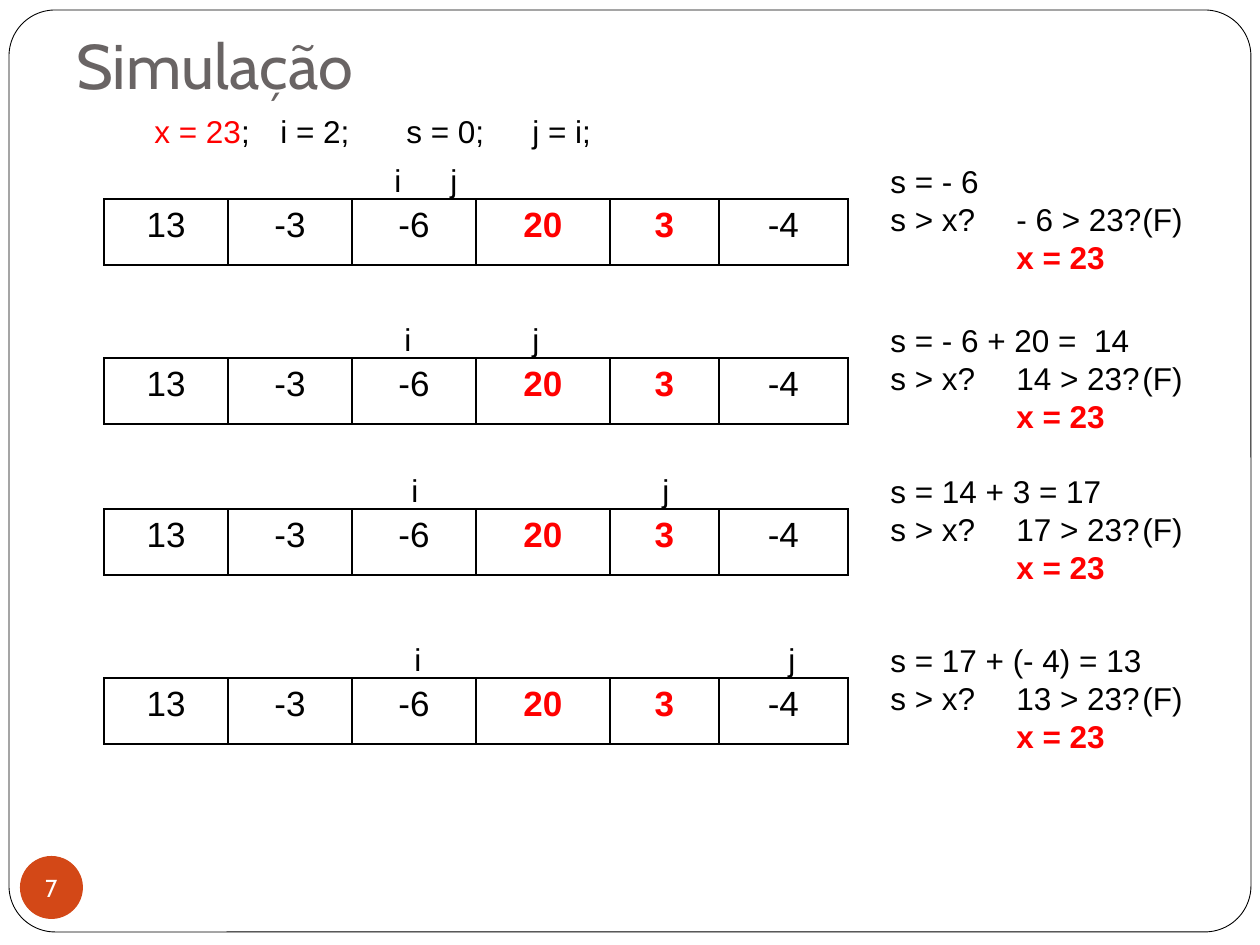
from lxml import etree
from pptx import Presentation
from pptx import util as u
from pptx.dml.color import RGBColor
from pptx.enum import shapes, text
from pptx.oxml.ns import qn

PX = 914400 / 126
BLACK, RED, WHITE, GREY, ORANGE = "000000", "FF0000", "FFFFFF", "696464", "D34817"
TAB_STEP = 126

TABLE_LEFT, ROW_HEIGHT = 104, 66
COLUMN_WIDTHS = [124, 124, 124, 134, 109, 129]
VALUES = ["13", "-3", "-6", "20", "3", "-4"]
HIGHLIGHTED = {"20", "3"}
# table top, left of i, left of j, sum shown, left side of the comparison
STEPS = [
    (199, 382, 438, "s = - 6", "- 6"),
    (358, 392, 520, "s = - 6 + 20 =  14", "14"),
    (509, 399, 650, "s = 14 + 3 = 17", "17"),
    (678, 402, 776, "s = 17 + (- 4) = 13", "13"),
]


def px(length):
    return u.Emu(round(length * PX))


def rgb(value):
    return RGBColor.from_string(value)


def style(font, size, color, name="Arial", bold=False):
    font.size, font.name, font.bold = u.Pt(size), name, bold
    font.color.rgb = rgb(color)


def add_tabs(paragraph, count=4):
    stops = etree.SubElement(paragraph._p.get_or_add_pPr(), qn("a:tabLst"))
    for number in range(1, count + 1):
        etree.SubElement(stops, qn("a:tab"), pos=str(px(number * TAB_STEP)), algn="l")


def add_text(parent, box, lines, size=18, color=BLACK, name="Arial"):
    """Each line is a list of (wording, is_red) runs; red alone on a line is bold."""
    frame = parent.add_textbox(*map(px, box)).text_frame
    frame.word_wrap = True
    for index, runs in enumerate(lines):
        paragraph = frame.add_paragraph() if index else frame.paragraphs[0]
        if any("\t" in wording for wording, _ in runs):
            add_tabs(paragraph)
        style(paragraph.font, size, color, name)
        for wording, is_red in runs:
            run = paragraph.add_run()
            run.text = wording
            if is_red:
                run.font.color.rgb = rgb(RED)
                run.font.bold = runs[-1][1]
    return frame


def add_panel(slide, kind, box, fill):
    panel = slide.shapes.add_shape(kind, *map(px, box))
    panel.shadow.inherit = False
    panel.fill.solid()
    panel.fill.fore_color.rgb = rgb(fill)
    panel.line.fill.background()
    return panel


def add_frame(slide):
    frame = add_panel(slide, shapes.MSO_SHAPE.ROUNDED_RECTANGLE, (9, 10, 1242, 922), WHITE)
    frame.adjustments[0] = 0.05
    frame.line.color.rgb = rgb(BLACK)
    frame.line.width = u.Pt(0.5)


def add_page_number(slide, number):
    badge = add_panel(slide, shapes.MSO_SHAPE.OVAL, (20, 856, 63, 63), ORANGE)
    frame = badge.text_frame
    frame.margin_left = frame.margin_right = frame.margin_top = frame.margin_bottom = 0
    frame.word_wrap = False
    frame.vertical_anchor = text.MSO_ANCHOR.MIDDLE
    paragraph = frame.paragraphs[0]
    paragraph.text = number
    paragraph.alignment = text.PP_ALIGN.CENTER
    style(paragraph.font, 14, WHITE, "Cabin")


def add_borders(cell):
    properties = cell._tc.get_or_add_tcPr()
    for index, side in enumerate(("lnL", "lnR", "lnT", "lnB")):
        line = etree.Element(qn(f"a:{side}"), w=str(u.Pt(1)))
        fill = etree.SubElement(line, qn("a:solidFill"))
        etree.SubElement(fill, qn("a:srgbClr"), val=BLACK)
        properties.insert(index, line)


def add_array(slide, top):
    box = (TABLE_LEFT, top, sum(COLUMN_WIDTHS), ROW_HEIGHT)
    table = slide.shapes.add_table(1, len(VALUES), *map(px, box)).table
    table.first_row = table.horz_banding = False
    for index, (value, width) in enumerate(zip(VALUES, COLUMN_WIDTHS)):
        table.columns[index].width = px(width)
        cell = table.cell(0, index)
        cell.fill.background()
        add_borders(cell)
        paragraph = cell.text_frame.paragraphs[0]
        paragraph.text = value
        paragraph.alignment = text.PP_ALIGN.CENTER
        marked = value in HIGHLIGHTED
        style(paragraph.font, 20, RED if marked else BLACK, bold=marked)


def add_step(slide, top, i_left, j_left, total, compared):
    add_array(slide, top)
    labels = slide.shapes.add_group_shape().shapes
    for pointer, left in (("i", i_left), ("j", j_left)):
        add_text(labels, (left, top - 44, 33, 50), [[(pointer, False)]])
    add_text(labels, (878, top - 43, 338, 127), [
        [(total, False)],
        [(f"s > x? \t{compared} > 23?\t(F)", False)],
        [("\t", False), ("x = 23", True)],
    ])


def main():
    deck = Presentation()
    deck.slide_width, deck.slide_height = px(1260), px(945)
    slide = deck.slides.add_slide(deck.slide_layouts[6])
    add_frame(slide)
    title = add_text(slide.shapes, (64, 38, 1133, 77), [[("Simulação", False)]], 36, GREY, "Cabin")
    title.vertical_anchor = text.MSO_ANCHOR.BOTTOM
    title.margin_bottom = u.Inches(0.1)
    add_page_number(slide, "7")
    add_text(slide.shapes, (16, 106, 593, 50), [
        [("\t", False), ("x = 23", True), ("; \ti = 2;\ts = 0;\tj = i;", False)],
    ])
    for step in STEPS:
        add_step(slide, *step)
    deck.save("out.pptx")


if __name__ == "__main__":
    main()
